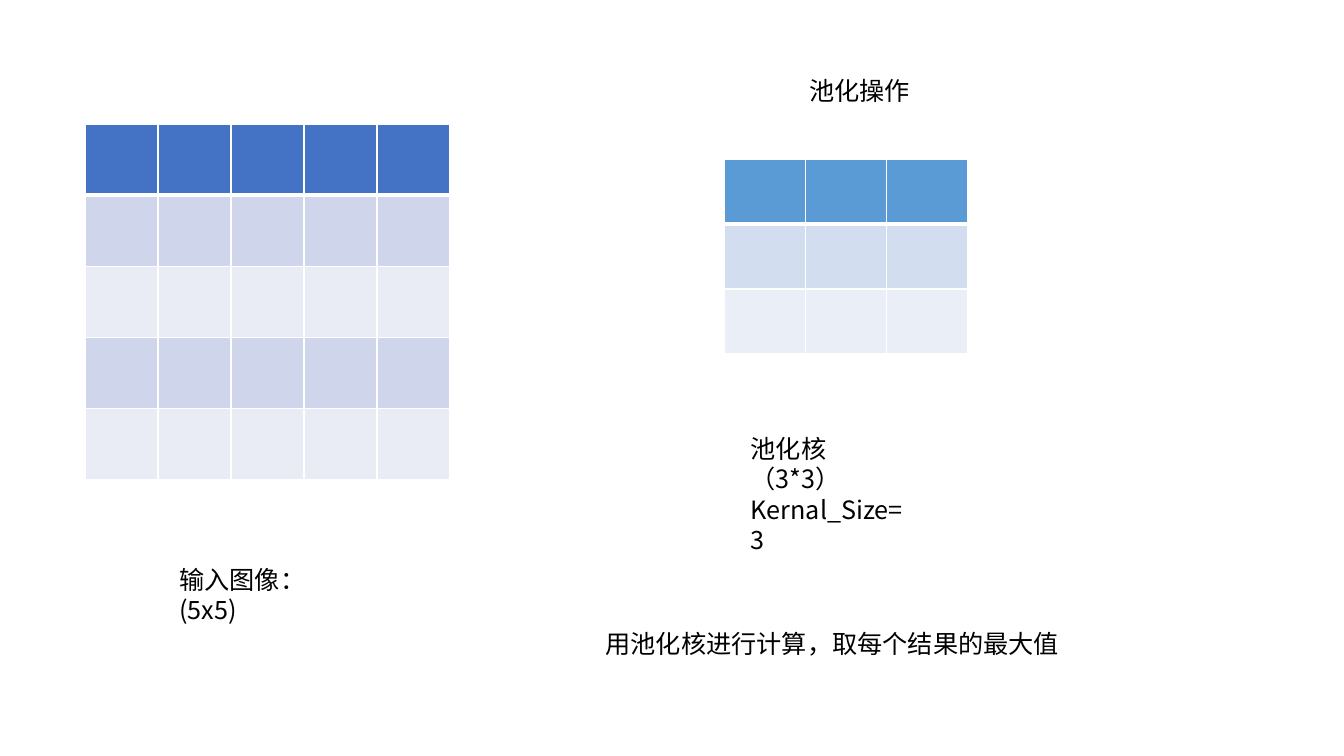
from lxml import etree
from pptx import Presentation
from pptx import util as u
from pptx.dml.color import RGBColor
from pptx.enum import text
from pptx.oxml.ns import qn


def color(value):
    return RGBColor.from_string(value)


class PoolingSlide:
    FONT = "Noto Sans CJK SC"
    SIZE = u.Pt(18)
    INK = "000000"
    GRID = "FFFFFF"

    def __init__(self, deck):
        self.slide = deck.slides.add_slide(deck.slide_layouts[6])

    def label(self, left, top, width, height, *lines):
        box = self.slide.shapes.add_textbox(
            u.Cm(left), u.Cm(top), u.Cm(width), u.Cm(height))
        frame = box.text_frame
        frame.word_wrap = True
        frame.auto_size = text.MSO_AUTO_SIZE.SHAPE_TO_FIT_TEXT
        frame.text = "\n".join(lines)
        for paragraph in frame.paragraphs:
            paragraph.font.name = self.FONT
            paragraph.font.size = self.SIZE
            paragraph.font.color.rgb = color(self.INK)

    def border(self, cell, side, points):
        line = etree.SubElement(
            cell._tc.get_or_add_tcPr(), qn(f"a:ln{side}"), w=str(u.Pt(points)))
        fill = etree.SubElement(line, qn("a:solidFill"))
        etree.SubElement(fill, qn("a:srgbClr"), val=self.GRID)

    def matrix(self, left, top, size, cell_width, cell_height, header, bands):
        """Draw an empty square table with a header row and alternating bands."""
        table = self.slide.shapes.add_table(
            size, size, u.Cm(left), u.Cm(top),
            u.Cm(size * cell_width), u.Cm(size * cell_height)).table
        for column in table.columns:
            column.width = u.Cm(cell_width)
        for index, row in enumerate(table.rows):
            row.height = u.Cm(cell_height)
            for cell in row.cells:
                for side in "LRTB":
                    heavy = (index, side) in ((0, "B"), (1, "T"))
                    self.border(cell, side, 3 if heavy else 1)
                cell.fill.solid()
                cell.fill.fore_color.rgb = color(
                    bands[(index - 1) % 2] if index else header)


def main():
    deck = Presentation()
    deck.slide_width, deck.slide_height = u.Cm(33.87), u.Cm(19.05)
    pooling = PoolingSlide(deck)

    pooling.matrix(2.14, 3.13, 5, 1.84, 1.79, "4472C4", ("CFD5EA", "E9EBF5"))
    pooling.label(4.27, 14.1, 3.71, 1.8, "输入图像：", "(5x5)")

    pooling.label(20.14, 1.78, 3.1, 1.8, "池化操作")
    pooling.matrix(18.26, 4.02, 3, 2.04, 1.63, "5B9BD5", ("D2DEEF", "EAEFF7"))
    pooling.label(18.67, 10.8, 4.37, 2.57, "池化核", "（3*3）", "Kernal_Size=3")
    pooling.label(15.01, 15.7, 12.07, 1.02, "用池化核进行计算，取每个结果的最大值")

    deck.save("out.pptx")


if __name__ == "__main__":
    main()
